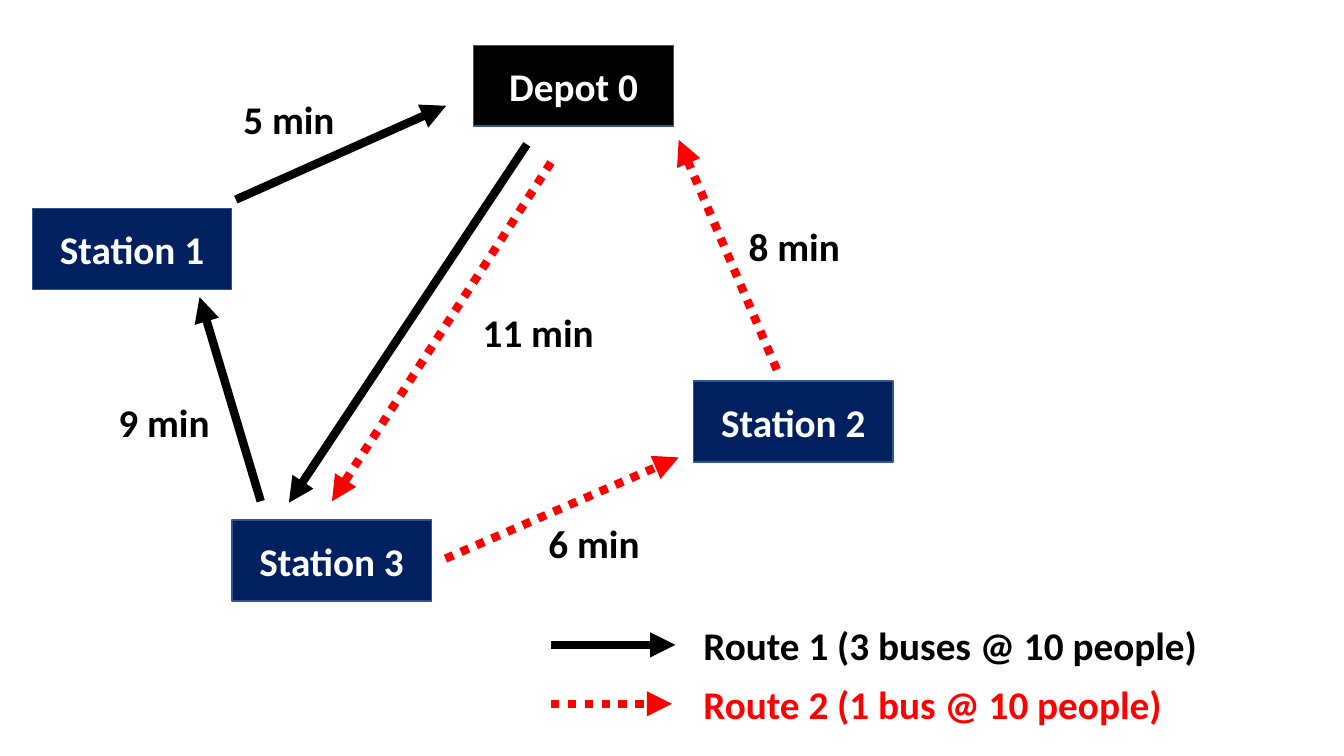
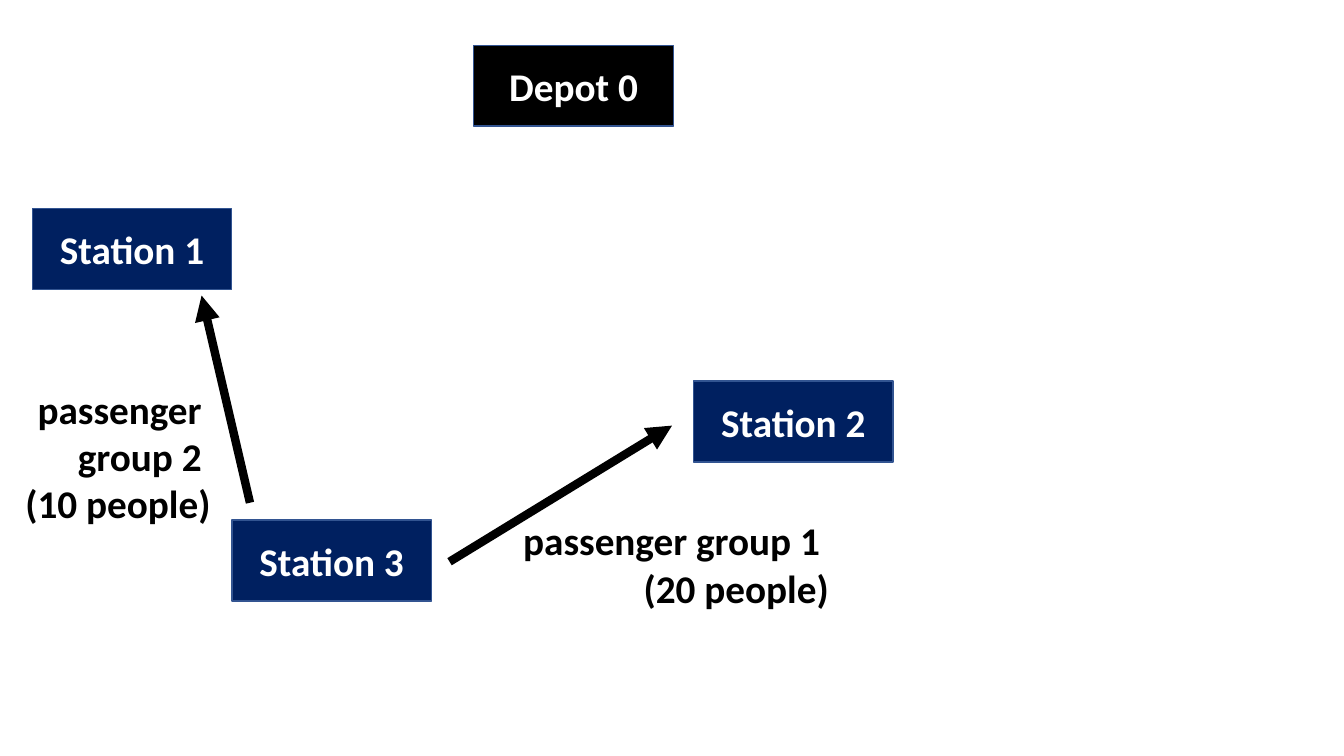
from lxml.etree import SubElement
from pptx import Presentation
from pptx.dml.color import RGBColor
from pptx.enum.dml import MSO_LINE
from pptx.enum.shapes import MSO_CONNECTOR, MSO_SHAPE
from pptx.enum.text import MSO_ANCHOR, MSO_AUTO_SIZE, PP_ALIGN
from pptx.oxml.ns import qn
from pptx.util import Inches, Pt

WIDE, HIGH = Inches(13.33), Inches(7.5)
FONT, SIZE = "Calibri", 28
BLACK, WHITE, RED, NAVY, EDGE = "000000", "FFFFFF", "FF0000", "002060", "325491"
BOX_W, BOX_H = 14.85, 10.7
LINE_H = 7.6
STOPS = [
    ("Station 1", 2.4, 27.6, NAVY),
    ("Station 2", 51.6, 50.4, NAVY),
    ("Station 3", 17.25, 68.8, NAVY),
    ("Depot 0", 35.25, 6, BLACK),
]
ROUTE_1 = [
    ((39.2, 19.1), (21.5, 66.5)),
    ((19.4, 66.3), (14.85, 39.3)),
    ((17.55, 26.4), (33.2, 14)),
]
ROUTE_2 = [
    ((41, 21.5), (24.7, 66.3)),
    ((33.15, 73.9), (50.5, 60.5)),
    ((57.8, 48.9), (50.5, 18.5)),
]
TIMES = [
    ("5 min", 17.3, 12, 8.4),
    ("11 min", 35.1, 40.1, 9.9),
    ("8 min", 54.9, 28.7, 8.4),
    ("9 min", 8, 52, 8.4),
    ("6 min", 40, 68.1, 8.4),
]
KEYS = [
    ("Route 1 (3 buses @ 10 people)", 85.3, 50.25, 38.6, BLACK, False),
    ("Route 2 (1 bus @ 10 people)", 93.1, 50, 36, RED, True),
]
GROUPS = [
    (["passenger group 1 ", "(20 people)"], (37.9, 67.7, 24.5, 13.9),
     (33.45, 74.3), (50, 56.3)),
    (["passenger ", "group 2 ", "(10 people)"], (1, 50.3, 15.4, 20.1),
     (18.6, 66.5), (15, 39.1)),
]


def rgb(code):
    return RGBColor.from_string(code)


def place(*shares):
    """Turn percentages of the slide (x, y, x, y ...) into lengths."""
    return [int(share * (HIGH if i % 2 else WIDE) / 100)
            for i, share in enumerate(shares)]


def write(frame, lines, color, align):
    for i, line in enumerate(lines):
        para = frame.add_paragraph() if i else frame.paragraphs[0]
        para.alignment = align
        run = para.add_run()
        run.text = line
        run.font.name, run.font.size, run.font.bold = FONT, Pt(SIZE), True
        run.font.color.rgb = rgb(color)


def add_stop(slide, name, x, y, color):
    box = slide.shapes.add_shape(MSO_SHAPE.RECTANGLE, *place(x, y, BOX_W, BOX_H))
    box.shadow.inherit = False
    box.fill.solid()
    box.fill.fore_color.rgb = rgb(color)
    box.line.color.rgb = rgb(EDGE)
    box.line.width = Pt(1)
    box.text_frame.vertical_anchor = MSO_ANCHOR.MIDDLE
    write(box.text_frame, [name], WHITE, PP_ALIGN.CENTER)


def add_label(slide, lines, spot, color=BLACK, align=PP_ALIGN.CENTER):
    frame = slide.shapes.add_textbox(*place(*spot)).text_frame
    frame.word_wrap = False
    frame.auto_size = MSO_AUTO_SIZE.SHAPE_TO_FIT_TEXT
    write(frame, lines, color, align)


def add_arrow(slide, start, end, color=BLACK, dotted=False):
    arrow = slide.shapes.add_connector(
        MSO_CONNECTOR.STRAIGHT, *place(*start, *end))
    arrow.line.color.rgb = rgb(color)
    arrow.line.width = Pt(6)
    if dotted:
        arrow.line.dash_style = MSO_LINE.ROUND_DOT
    SubElement(arrow.line._get_or_add_ln(), qn("a:tailEnd"), type="triangle")
    SubElement(arrow._element.spPr, qn("a:effectLst"))


def add_map(deck):
    """Add a slide that shows the depot and the stations."""
    slide = deck.slides.add_slide(deck.slide_layouts[6])
    for stop in STOPS:
        add_stop(slide, *stop)
    return slide


def add_routes(deck):
    slide = add_map(deck)
    for start, end in ROUTE_1:
        add_arrow(slide, start, end)
    for start, end in ROUTE_2:
        add_arrow(slide, start, end, RED, True)
    for text, x, y, width in TIMES:
        add_label(slide, [text], (x, y, width, LINE_H))
    for text, y, tip, width, color, dotted in KEYS:
        add_arrow(slide, (41, y), (tip, y), color, dotted)
        spot = (51.6, y - LINE_H / 2, width, LINE_H)
        add_label(slide, [text], spot, color, PP_ALIGN.LEFT)


def add_groups(deck):
    slide = add_map(deck)
    for lines, spot, start, end in GROUPS:
        add_arrow(slide, start, end)
        add_label(slide, lines, spot, align=PP_ALIGN.RIGHT)


def main():
    deck = Presentation()
    deck.slide_width, deck.slide_height = WIDE, HIGH
    add_routes(deck)
    add_groups(deck)
    deck.save("out.pptx")


if __name__ == "__main__":
    main()
